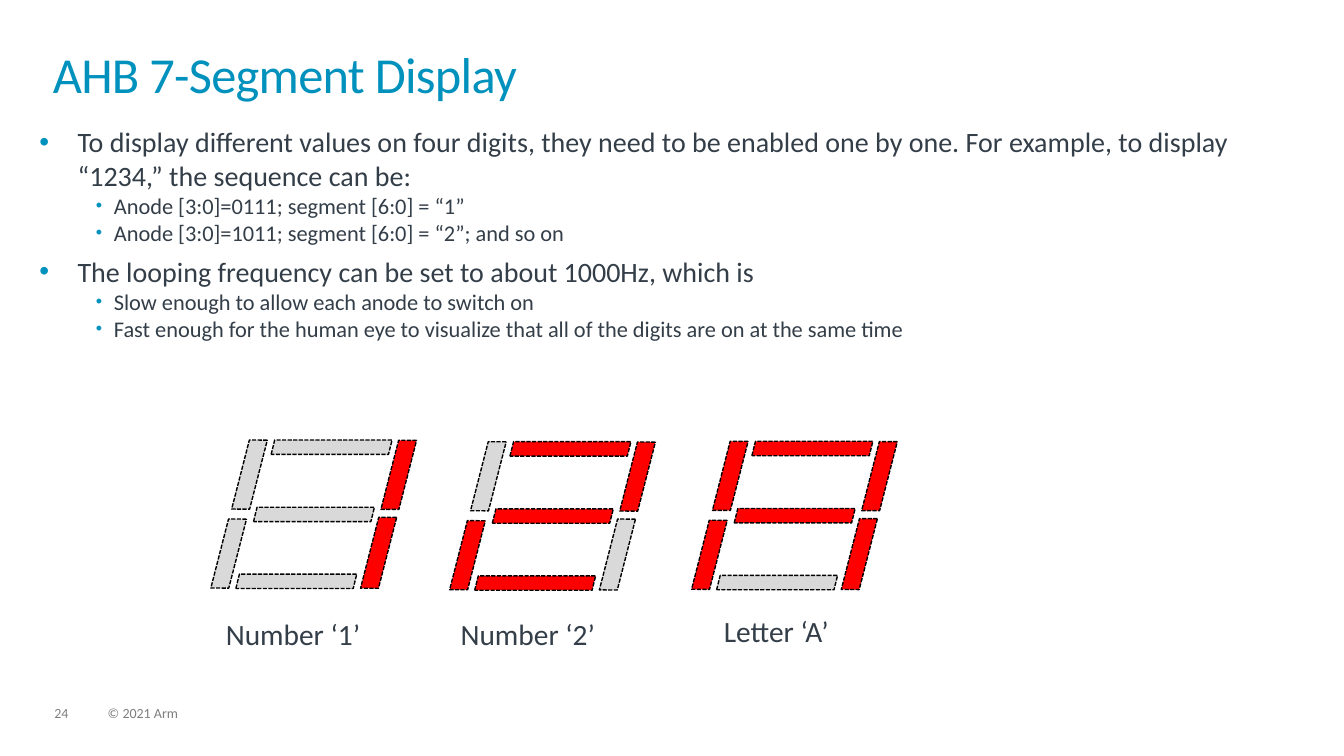
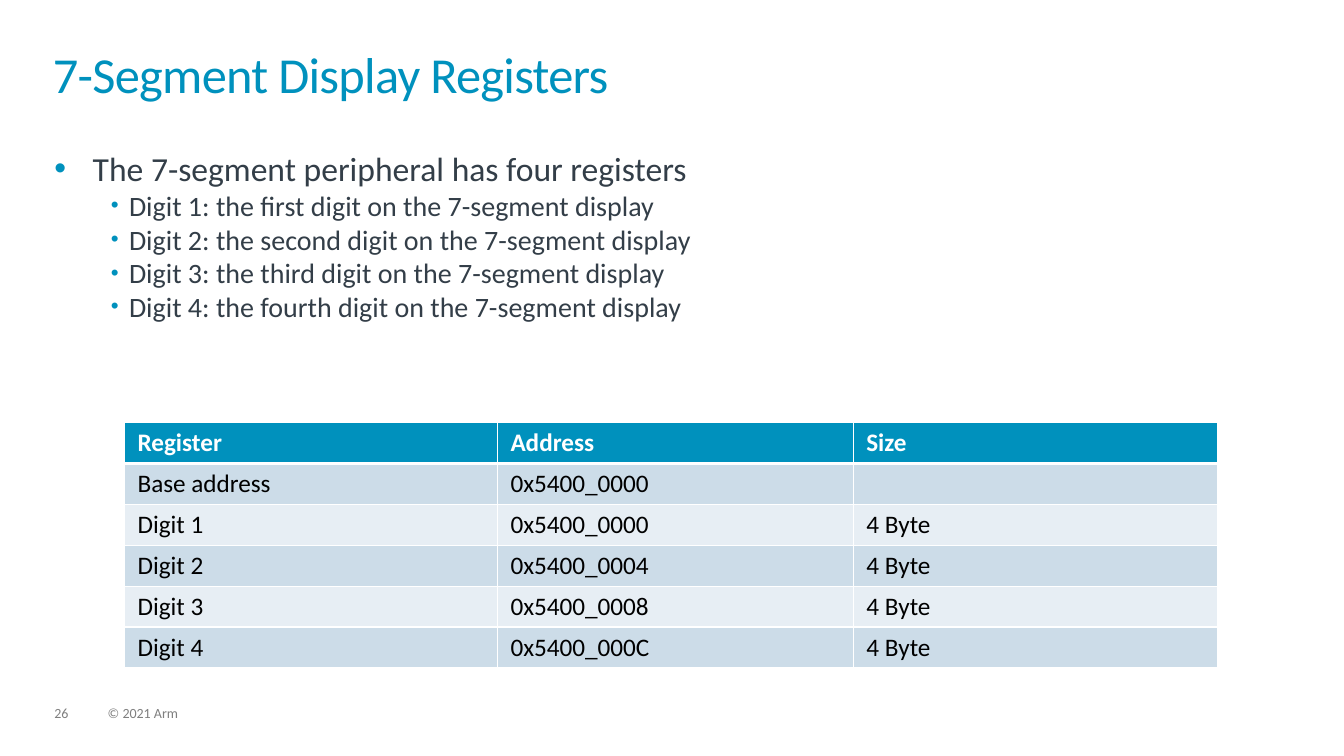
"""Build two slides on the AHB 7-segment display."""
from dataclasses import dataclass
from typing import NamedTuple, Optional

from lxml.etree import SubElement
from pptx import Presentation
from pptx.dml.color import RGBColor
from pptx.enum.dml import MSO_LINE
from pptx.enum.shapes import MSO_SHAPE
from pptx.enum.text import MSO_ANCHOR
from pptx.oxml.ns import qn
from pptx.util import Pt


@dataclass(frozen=True)
class Theme:
    font: str = "Calibri"
    blue: str = "0091BD"
    ink: str = "333E48"
    gray: str = "7F7F7F"
    black: str = "000000"
    white: str = "FFFFFF"
    lit: str = "FF0000"
    unlit: str = "D9D9D9"
    bands: tuple = ("CCDCE8", "E7EEF4")
    title: int = 36
    label: int = 21
    cell: int = 18
    foot: int = 10


class Item(NamedTuple):
    level: int
    text: str


class Bullet(NamedTuple):
    margin: float
    indent: float
    before: float
    scale: int


class Bar(NamedTuple):
    name: str
    left: float
    top: float
    width: float
    height: float
    turn: float = 0


class Digit(NamedTuple):
    left: float
    top: float
    lit: str
    label: str
    text_left: float
    text_top: float


LOOK = Theme()
BULLETS = (Bullet(27.36, -27.36, 6, 100), Bullet(53.28, -12.96, 0, 80))
LEAN = 284.4
BARS = (
    Bar("a", 0, 0, 86.4, 10.3),
    Bar("g", -12.6, 48, 86.4, 10.3),
    Bar("d", -25.2, 95.8, 86.4, 10.3),
    Bar("f", -42.5, 18.5, 54, 12.4, LEAN),
    Bar("e", -57.4, 74.9, 54, 12.4, LEAN),
    Bar("b", 64.1, 18.7, 54, 12.4, LEAN),
    Bar("c", 49, 74.4, 55.4, 12.4, LEAN),
)
DIGITS = (
    Digit(193.7, 314.3, "bc", "Number ‘1’", 161.3, 442.8),
    Digit(364.3, 315.5, "abdeg", "Number ‘2’", 329, 442.8),
    Digit(537.1, 315.2, "abcefg", "Letter ‘A’", 517, 440.6),
)
STEPS = (
    Item(0, "To display different values on four digits, they need to be enabled "
            "one by one. For example, to display “1234,” the sequence can be:"),
    Item(1, "Anode [3:0]=0111; segment [6:0] = “1”"),
    Item(1, "Anode [3:0]=1011; segment [6:0] = “2”; and so on"),
    Item(0, "The looping frequency can be set to about 1000Hz, which is"),
    Item(1, "Slow enough to allow each anode to switch on"),
    Item(1, "Fast enough for the human eye to visualize that all of the digits "
            "are on at the same time"),
)
PARTS = (Item(0, "The 7-segment peripheral has four registers"),) + tuple(
    Item(1, f"Digit {num}: the {rank} digit on the 7-segment display")
    for num, rank in enumerate(("first", "second", "third", "fourth"), 1))
ROWS = (
    ("Register", "Address", "Size"),
    ("Base address", "0x5400_0000", ""),
    ("Digit 1", "0x5400_0000", "4 Byte"),
    ("Digit 2", "0x5400_0004", "4 Byte"),
    ("Digit 3", "0x5400_0008", "4 Byte"),
    ("Digit 4", "0x5400_000C", "4 Byte"),
)
WIDTHS = (266.4, 254.2, 260.6)


def paint(fill, color: str) -> None:
    """Give a fill one solid colour."""
    fill.solid()
    fill.fore_color.rgb = RGBColor.from_string(color)


def write(par, text: str, *, size: float, color: str, bold: bool = False,
          track: int = 0, line: Optional[float] = None) -> None:
    """Add formatted text to a paragraph."""
    run = par.add_run()
    run.text = text
    font = run.font
    font.name, font.size, font.bold = LOOK.font, Pt(size), bold
    font.color.rgb = RGBColor.from_string(color)
    if track:
        run._r.get_or_add_rPr().set("spc", str(track))
    if line:
        par.line_spacing = line


def frame(slide, left: float, top: float, width: float, height: float):
    """Add a wrapping text box without insets and return its frame."""
    box = slide.shapes.add_textbox(Pt(left), Pt(top), Pt(width), Pt(height))
    area = box.text_frame
    area.word_wrap = True
    area.margin_left = area.margin_right = area.margin_top = area.margin_bottom = 0
    return area


def start(deck, title: str, page: int):
    """Add a slide with its title and footer."""
    slide = deck.slides.add_slide(deck.slide_layouts[6])
    for left, width, text in ((38.9, 24.5, str(page)), (77, 365, "© 2021 Arm")):
        area = frame(slide, left, 504.7, width, 10.8)
        write(area.paragraphs[0], text, size=LOOK.foot, color=LOOK.gray, line=0.9)
    area = frame(slide, 37.8, 37.6, 884, 51.8)
    write(area.paragraphs[0], title, size=LOOK.title, color=LOOK.blue,
          track=-50, line=0.85)
    return slide


def mark(par, level: int) -> None:
    """Set the bullet and indent for a list level."""
    style = BULLETS[level]
    par.level = level
    props = par._p.get_or_add_pPr()
    props.set("marL", str(Pt(style.margin)))
    props.set("indent", str(Pt(style.indent)))
    tint = SubElement(props, qn("a:buClr"))
    SubElement(tint, qn("a:srgbClr"), val=LOOK.blue)
    SubElement(props, qn("a:buSzPct"), val=str(style.scale * 1000))
    SubElement(props, qn("a:buFont"), typeface="Arial")
    SubElement(props, qn("a:buChar"), char="•")


def draw_list(slide, items: tuple, left: float, top: float, height: float,
              sizes: tuple) -> None:
    """Draw a two-level bullet list."""
    area = frame(slide, left, top, 880.6, height)
    for row, item in enumerate(items):
        par = area.add_paragraph() if row else area.paragraphs[0]
        mark(par, item.level)
        if row:
            par.space_before = Pt(BULLETS[item.level].before)
        write(par, item.text, size=sizes[item.level], color=LOOK.ink)


def draw_digit(slide, digit: Digit) -> None:
    """Draw seven bars and the label below them."""
    for bar in BARS:
        shape = slide.shapes.add_shape(
            MSO_SHAPE.PARALLELOGRAM, Pt(digit.left + bar.left),
            Pt(digit.top + bar.top), Pt(bar.width), Pt(bar.height))
        shape.shadow.inherit = False
        paint(shape.fill, LOOK.lit if bar.name in digit.lit else LOOK.unlit)
        paint(shape.line.fill, LOOK.black)
        shape.line.width = Pt(1)
        shape.line.dash_style = MSO_LINE.SQUARE_DOT
        if bar.turn:
            shape.adjustments[0] = 0.25
            shape.rotation = bar.turn
            shape._element.spPr.xfrm.set("flipH", "1")
    area = frame(slide, digit.text_left, digit.text_top, 110, 23)
    write(area.paragraphs[0], digit.label, size=LOOK.label, color=LOOK.ink, line=0.9)


def edge(cell, base: float) -> None:
    """Draw white borders around a cell."""
    props = cell._tc.get_or_add_tcPr()
    for side, width in (("L", 1), ("R", 1), ("T", 1), ("B", base)):
        line = SubElement(props, qn(f"a:ln{side}"), w=str(Pt(width)))
        fill = SubElement(line, qn("a:solidFill"))
        SubElement(fill, qn("a:srgbClr"), val=LOOK.white)


def draw_table(slide) -> None:
    """Draw the register table."""
    high = 29.2
    table = slide.shapes.add_table(
        len(ROWS), len(WIDTHS), Pt(88.9), Pt(301.9), Pt(sum(WIDTHS)),
        Pt(high * len(ROWS))).table
    table.horz_banding = False
    for col, width in zip(table.columns, WIDTHS):
        col.width = Pt(width)
    for num, texts in enumerate(ROWS):
        head = num == 0
        table.rows[num].height = Pt(high)
        for col, text in enumerate(texts):
            cell = table.cell(num, col)
            cell.margin_left = cell.margin_right = Pt(9.4)
            cell.margin_top = cell.margin_bottom = Pt(3.6)
            if col == 0 and not head:
                cell.vertical_anchor = MSO_ANCHOR.MIDDLE
            edge(cell, 3 if head else 1)
            paint(cell.fill, LOOK.blue if head else LOOK.bands[(num - 1) % 2])
            if text:
                write(cell.text_frame.paragraphs[0], text, size=LOOK.cell,
                      color=LOOK.white if head else LOOK.black, bold=head)


def main() -> None:
    """Build and save the deck."""
    deck = Presentation()
    deck.slide_width, deck.slide_height = Pt(960), Pt(540)
    slide = start(deck, "AHB 7-Segment Display", 24)
    draw_list(slide, STEPS, 28.1, 89.3, 321.8, (20, 16))
    for digit in DIGITS:
        draw_digit(slide, digit)
    slide = start(deck, "7-Segment Display Registers", 26)
    draw_list(slide, PARTS, 38.9, 105.8, 190, (24, 20))
    draw_table(slide)
    deck.save("out.pptx")


if __name__ == "__main__":
    main()
